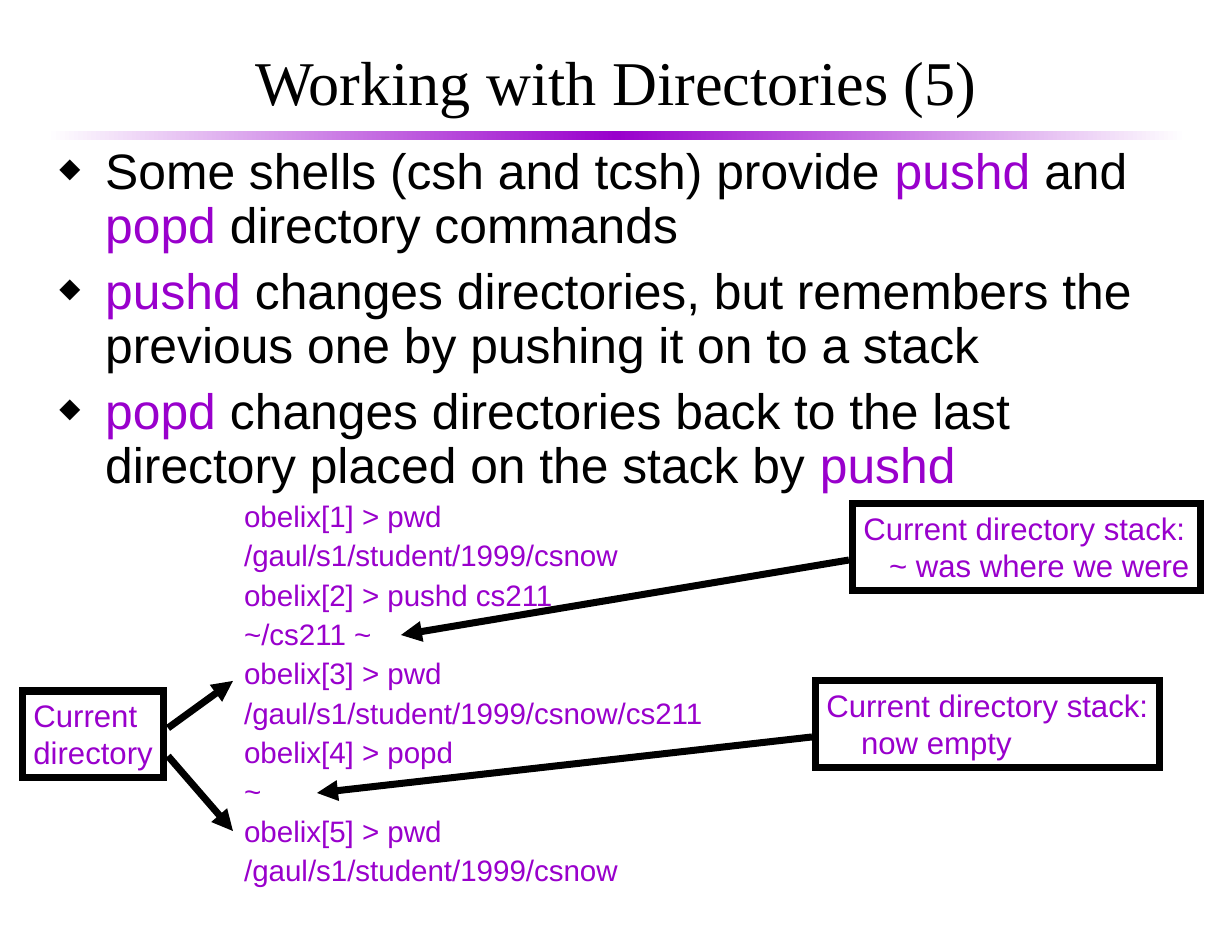
from dataclasses import dataclass

from lxml.etree import SubElement
from pptx import Presentation
from pptx.dml.color import RGBColor
from pptx.enum.shapes import MSO_CONNECTOR, MSO_SHAPE
from pptx.enum.text import MSO_ANCHOR, MSO_AUTO_SIZE, PP_ALIGN
from pptx.oxml import parse_xml
from pptx.oxml.ns import nsdecls, qn
from pptx.util import Inches, Pt


@dataclass(frozen=True)
class Theme:
    ink: RGBColor = RGBColor(0x00, 0x00, 0x00)
    accent: RGBColor = RGBColor(0x99, 0x00, 0xCC)
    paper: RGBColor = RGBColor(0xFF, 0xFF, 0xFF)
    serif: str = "Times New Roman"
    sans: str = "Arial"
    title: Pt = Pt(40)
    body: Pt = Pt(32)
    code: Pt = Pt(19)
    label: Pt = Pt(20)
    stroke: Pt = Pt(4.5)


theme = Theme()


def style(font, name, size, color):
    font.name, font.size, font.color.rgb = name, size, color


def add_text_box(left, top, width, height):
    tf = s.shapes.add_textbox(*map(Inches, (left, top, width, height))).text_frame
    tf.word_wrap = True
    tf.margin_left = tf.margin_right = Inches(0.11)
    tf.margin_top = tf.margin_bottom = Inches(0.06)
    return tf


prs = Presentation()
prs.slide_width, prs.slide_height = Inches(11), Inches(8.5)
s = prs.slides.add_slide(prs.slide_layouts[6])

# Rule under the title, fading out at both ends
sp = s.shapes.add_shape(MSO_SHAPE.RECTANGLE, Inches(0.42), Inches(1.17), Inches(10.17), Inches(0.08))
sp.shadow.inherit = False
sp.line.fill.background()
sp.fill.background()
stops = "".join(
    f'<a:gs pos="{pos}"><a:srgbClr val="{color}"/></a:gs>'
    for pos, color in ((0, theme.paper), (50000, theme.accent), (100000, theme.paper))
)
no_fill = sp._element.spPr.find(qn("a:noFill"))
no_fill.getparent().replace(no_fill, parse_xml(
    f'<a:gradFill {nsdecls("a")}><a:gsLst>{stops}</a:gsLst><a:lin ang="0" scaled="0"/></a:gradFill>'))

# Title
tf = add_text_box(0.58, 0.28, 9.84, 0.88)
tf.vertical_anchor = MSO_ANCHOR.MIDDLE
p = tf.paragraphs[0]
p.text = "Working with Directories (5)"
p.alignment = PP_ALIGN.CENTER
style(p.runs[0].font, theme.serif, theme.title, theme.ink)

# Bullets: runs of (text, colour)
bullets = [
    [("Some shells (csh and tcsh) provide ", theme.ink), ("pushd", theme.accent), (" and ", theme.ink),
     ("popd", theme.accent), (" directory commands", theme.ink)],
    [("pushd ", theme.accent),
     ("changes directories, but remembers the previous one by pushing it on to a stack", theme.ink)],
    [("popd ", theme.accent),
     ("changes directories back to the last directory placed on the stack by", theme.ink),
     (" pushd", theme.accent)],
]
tf = add_text_box(0.42, 1.25, 10.17, 6.83)
for i, parts in enumerate(bullets):
    p = tf.add_paragraph() if i else tf.paragraphs[0]
    pPr = p._p.get_or_add_pPr()
    pPr.set("marL", str(Inches(0.41)))
    pPr.set("indent", str(Inches(-0.41)))
    SubElement(SubElement(pPr, qn("a:buClr")), qn("a:srgbClr")).set("val", str(theme.ink))
    SubElement(pPr, qn("a:buSzPct")).set("val", "55000")
    SubElement(pPr, qn("a:buChar")).set("char", "◆")
    p.line_spacing = 0.9
    p.space_before = Pt(8 if i else 0)
    for text, color in parts:
        r = p.add_run()
        r.text = text
        style(r.font, theme.sans, theme.body, color)

# Shell session
session = [
    "obelix[1] > pwd",
    "/gaul/s1/student/1999/csnow",
    "obelix[2] > pushd cs211",
    "~/cs211 ~",
    "obelix[3] > pwd",
    "/gaul/s1/student/1999/csnow/cs211",
    "obelix[4] > popd",
    "~",
    "obelix[5] > pwd",
    "/gaul/s1/student/1999/csnow",
]
for line in session:
    p = tf.add_paragraph()
    p.text = line
    p.level = 3
    pPr = p._p.get_or_add_pPr()
    pPr.set("marL", str(Inches(1.93)))
    pPr.set("indent", str(Inches(-0.28)))
    SubElement(pPr, qn("a:buNone"))
    p.line_spacing = 0.9
    p.space_before = Pt(4.8)
    style(p.runs[0].font, theme.sans, theme.code, theme.accent)

# Callouts: left, top, width, lines of (text, indent)
callouts = [
    (7.61, 4.5, 3.11, [("Current directory stack:", 0), ("~ was where we were", 0.23)]),
    (7.28, 6.08, 3.07, [("Current directory stack:", 0), ("now empty", 0.31)]),
    (0.2, 6.17, 1.26, [("Current", 0), ("directory", 0)]),
]
for left, top, width, lines in callouts:
    sp = s.shapes.add_shape(MSO_SHAPE.RECTANGLE, Inches(left), Inches(top), Inches(width), Inches(0.77))
    sp.shadow.inherit = False
    sp.fill.background()
    sp.line.color.rgb, sp.line.width = theme.ink, theme.stroke
    SubElement(sp.line._get_or_add_ln(), qn("a:miter")).set("lim", "800000")
    tf = sp.text_frame
    tf.word_wrap = True
    tf.auto_size = MSO_AUTO_SIZE.NONE
    tf.vertical_anchor = MSO_ANCHOR.TOP
    tf.margin_left, tf.margin_right = Inches(0.1), Inches(0)
    for i, (text, indent) in enumerate(lines):
        p = tf.add_paragraph() if i else tf.paragraphs[0]
        p.text = text
        p.alignment = PP_ALIGN.LEFT
        p._p.get_or_add_pPr().set("marL", str(Inches(indent)))
        style(p.runs[0].font, theme.sans, theme.label, theme.accent)

# Arrows from the callouts to the session
arrows = [
    (7.58, 5, 3.58, 5.67),
    (7.25, 6.58, 2.83, 7.08),
    (1.5, 6.5, 2.08, 6.08),
    (1.5, 6.75, 2.08, 7.42),
]
for ends in arrows:
    arrow = s.shapes.add_connector(MSO_CONNECTOR.STRAIGHT, *map(Inches, ends))
    arrow.line.color.rgb, arrow.line.width = theme.ink, theme.stroke
    SubElement(arrow.line._get_or_add_ln(), qn("a:tailEnd")).set("type", "triangle")
    SubElement(arrow._element.spPr, qn("a:effectLst"))

prs.save("out.pptx")
